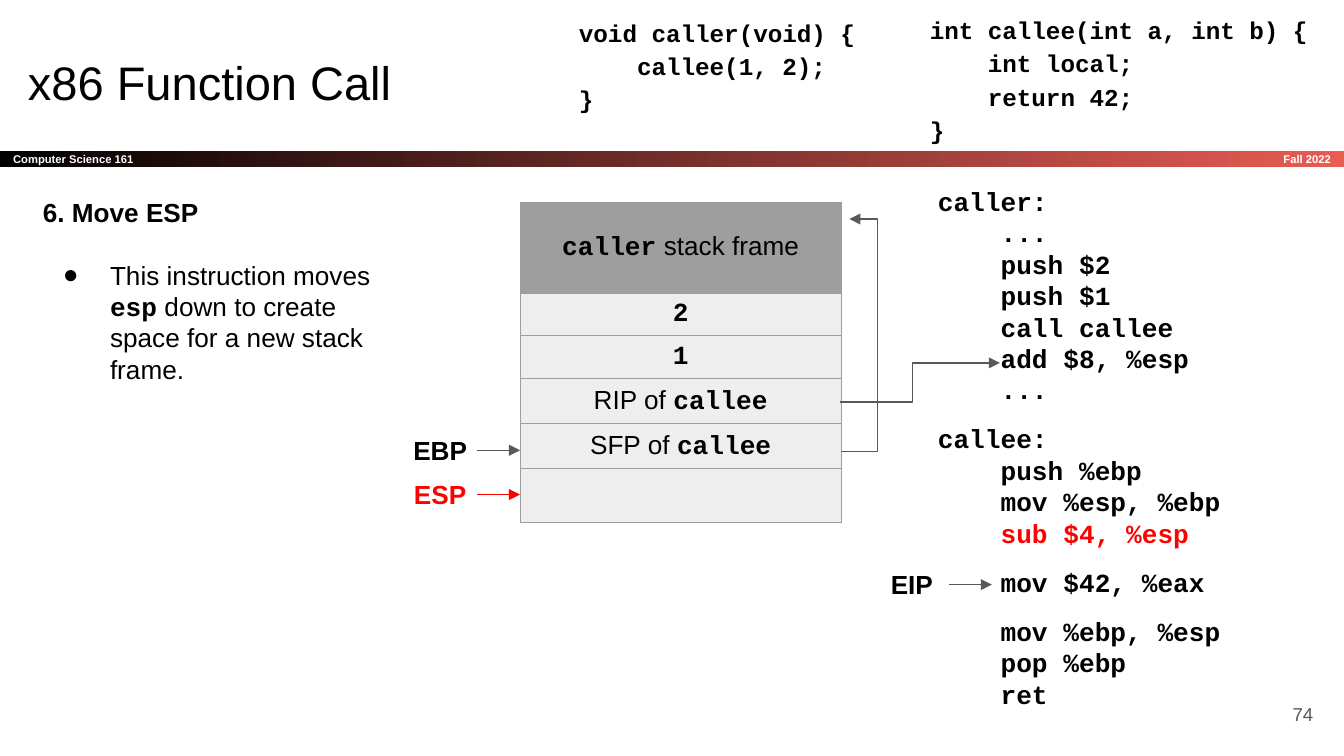
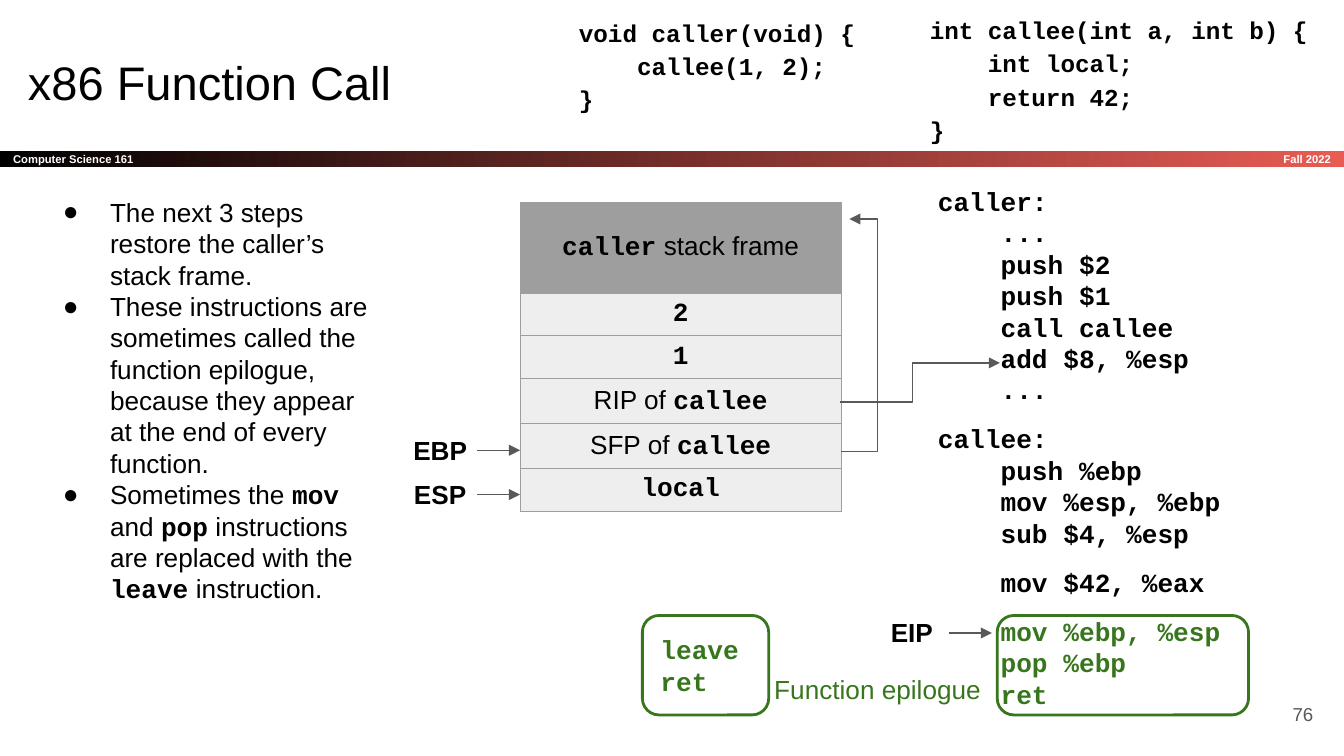
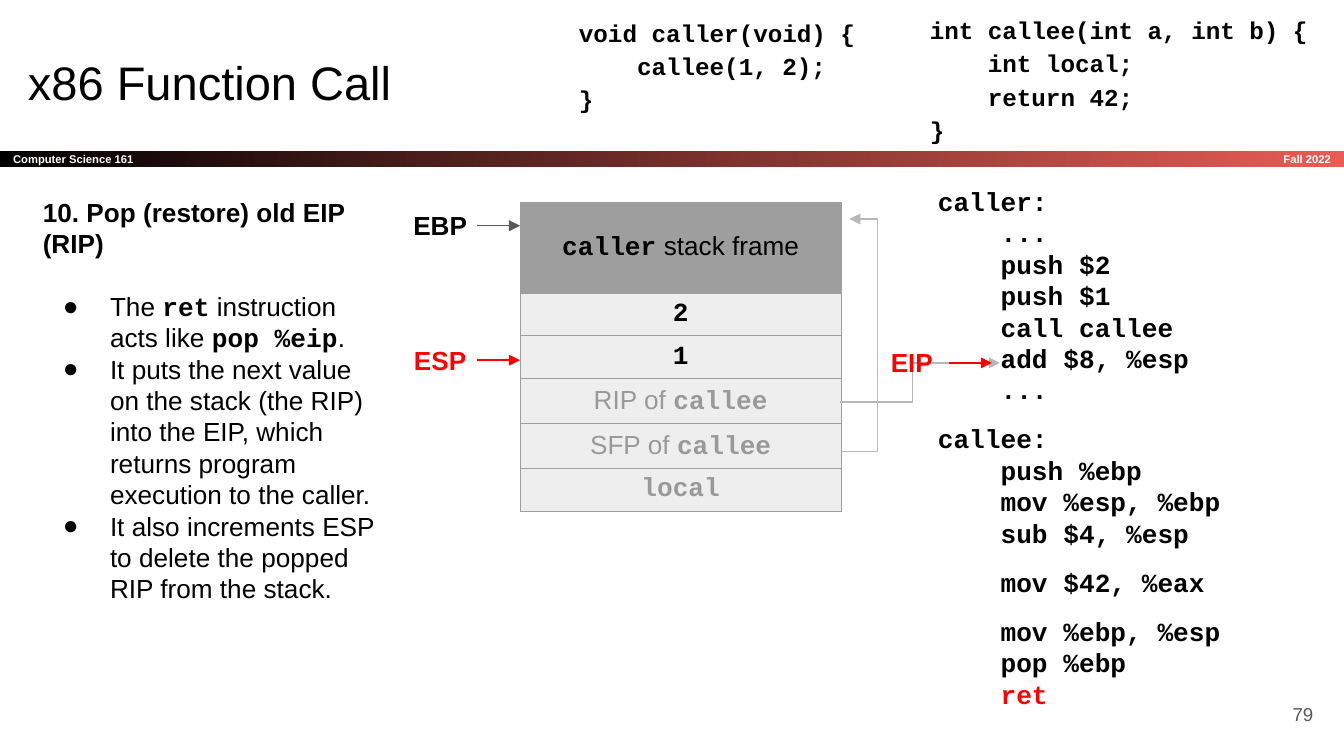
"""Builds three slides that walk through the stack during an x86 function call."""
from dataclasses import dataclass, field
from typing import NamedTuple

from lxml.etree import SubElement
from pptx import Presentation
from pptx.dml.color import RGBColor
from pptx.enum.shapes import MSO_CONNECTOR, MSO_SHAPE
from pptx.enum.text import MSO_ANCHOR, PP_ALIGN
from pptx.oxml.ns import qn
from pptx.util import Pt

PX = 9144
SANS, MONO = "Arial", "Courier New"
BLACK, WHITE, RED, GREEN = "000000", "FFFFFF", "FF0000", "38761D"
CORAL, GRAY, PALE, FADED = "E85C54", "595959", "B7B7B7", "999999"
FRAME, CELL = "9E9E9E", "EEEEEE"
LEFT, CENTER, RIGHT = PP_ALIGN.LEFT, PP_ALIGN.CENTER, PP_ALIGN.RIGHT
TOP, MIDDLE = MSO_ANCHOR.TOP, MSO_ANCHOR.MIDDLE
BODY = 14
LEADING, CODE_LEADING = 1.2, 1.38

CALLER_SOURCE = ["void caller(void) {", "    callee(1, 2);", "}"]
CALLEE_SOURCE = ["int callee(int a, int b) {", "    int local;", "    return 42;", "}"]
ASSEMBLY = [
    ["caller:", "    ...", "    push $2", "    push $1", "    call callee",
     "    add $8, %esp", "    ..."],
    ["callee:", "    push %ebp", "    mov %esp, %ebp", "    sub $4, %esp"],
    ["    mov $42, %eax"],
    ["    mov %ebp, %esp", "    pop %ebp", "    ret"],
]


class Span(NamedTuple):
    """A run of text in one face and colour."""
    text: str
    font: str = SANS
    bold: bool = False
    color: str = BLACK


class Para(NamedTuple):
    """A paragraph made of spans, each on its own line if broken."""
    spans: list[Span]
    bullet: bool = False
    before: float = 0
    broken: bool = False


class Area(NamedTuple):
    """A rectangle in px."""
    left: int
    top: int
    width: int
    height: int


class Style(NamedTuple):
    """How the text of a box is set."""
    size: float = BODY
    align: PP_ALIGN = LEFT
    anchor: MSO_ANCHOR = TOP
    inset: tuple[int, int] = (10, 10)
    leading: float = LEADING


class StackRow(NamedTuple):
    """A stack cell, with exact line spacing in points if given."""
    height: int
    spans: list[Span]
    spacing: float = 0


class Pointer(NamedTuple):
    """A register label with an arrow to its right."""
    name: str
    left: int
    top: int
    color: str = BLACK


@dataclass
class Step:
    """What one slide shows."""
    number: int
    notes: list[Para]
    pointers: list[Pointer]
    marked: dict[str, str] = field(default_factory=dict)
    local: str = "local"
    popped_color: str = BLACK
    wire_color: str = GRAY
    epilogue: bool = False


def mono(text: str, color: str = BLACK) -> Span:
    """Return a bold code span."""
    return Span(text, MONO, True, color)


def bullet(*spans: Span) -> Para:
    """Return a bulleted paragraph."""
    return Para(list(spans), True)


def with_heading(heading: str, *notes: Para) -> list[Para]:
    """Put a bold heading over notes, one line apart."""
    first = notes[0]._replace(before=BODY * LEADING)
    return [Para([Span(heading, bold=True)]), first, *notes[1:]]


def rgb(color: str) -> RGBColor:
    """Turn a hex string into a colour."""
    return RGBColor.from_string(color)


def scaled(area: Area) -> list[int]:
    """Turn px into EMU."""
    return [value * PX for value in area]


def add_spans(para, spans: list[Span], size: float, broken: bool = False) -> None:
    """Add spans to a paragraph run by run."""
    for index, span in enumerate(spans):
        if broken and index:
            para.add_line_break()
        run = para.add_run()
        run.text = span.text
        run.font.name = span.font
        run.font.size = Pt(size)
        run.font.bold = span.bold
        run.font.color.rgb = rgb(span.color)


def add_bullet(para) -> None:
    """Give a paragraph a hanging round bullet."""
    props = para._p.get_or_add_pPr()
    props.set("marL", str(50 * PX))
    props.set("indent", str(-35 * PX))
    tint = SubElement(props, qn("a:buClr"))
    SubElement(tint, qn("a:srgbClr"), val=BLACK)
    SubElement(props, qn("a:buFont"), typeface=SANS)
    SubElement(props, qn("a:buChar"), char="●")


def fill_text(shape, paras: list[Para], style: Style) -> None:
    """Set the text of a shape."""
    frame = shape.text_frame
    frame.word_wrap = True
    frame.vertical_anchor = style.anchor
    across, down = (value * PX for value in style.inset)
    frame.margin_left = frame.margin_right = across
    frame.margin_top = frame.margin_bottom = down
    for index, item in enumerate(paras):
        para = frame.add_paragraph() if index else frame.paragraphs[0]
        para.alignment = style.align
        para.line_spacing = Pt(style.size * style.leading)
        if item.before:
            para.space_before = Pt(item.before)
        if item.bullet:
            add_bullet(para)
        add_spans(para, item.spans, style.size, item.broken)


def add_text(page, area: Area, paras: list[Para], style: Style = Style()):
    """Add a text box."""
    box = page.shapes.add_textbox(*scaled(area))
    fill_text(box, paras, style)
    return box


def set_line(shape, color: str, width: float, arrow: bool = False) -> None:
    """Set a line, with an arrowhead at its end if asked."""
    shape.line.color.rgb = rgb(color)
    shape.line.width = Pt(width)
    if arrow:
        SubElement(shape.line._get_or_add_ln(), qn("a:tailEnd"), type="triangle")


def add_wire(page, points: list[tuple[int, int]], color: str) -> None:
    """Add a bent arrow through points."""
    builder = page.shapes.build_freeform(*points[0], scale=PX)
    builder.add_line_segments(points[1:], close=False)
    wire = builder.convert_to_shape()
    wire.shadow.inherit = False
    wire.fill.background()
    set_line(wire, color, 0.75, True)


def add_pointer(page, pointer: Pointer) -> None:
    """Add a register label and its arrow."""
    area = Area(pointer.left, pointer.top, 55, 34)
    label = add_text(page, area, [Para([Span(pointer.name, bold=True, color=pointer.color)])],
                     Style(align=CENTER, inset=(5, 5)))
    start, level = area.left + area.width, area.top + area.height // 2
    arrow = page.shapes.add_connector(MSO_CONNECTOR.STRAIGHT, start * PX, level * PX,
                                      (start + 32) * PX, level * PX)
    arrow.begin_connect(label, 3)
    set_line(arrow, GRAY if pointer.color == BLACK else pointer.color, 0.75, True)
    SubElement(arrow._element.spPr, qn("a:effectLst"))


def add_header(page, number: int) -> None:
    """Add the title, gradient band, C source and page number."""
    band = page.shapes.add_shape(MSO_SHAPE.RECTANGLE, *scaled(Area(0, 112, 1000, 12)))
    band.shadow.inherit = False
    band.line.fill.background()
    band.fill.gradient()
    band.fill.gradient_angle = 0
    for stop, position, color in zip(band.fill.gradient_stops, (0, 1), (BLACK, CORAL)):
        stop.position = position
        stop.color.rgb = rgb(color)
    small = Style(6, anchor=MIDDLE, inset=(10, 0))
    fill_text(band, [Para([Span("Computer Science 161", bold=True, color=WHITE)])], small)
    add_text(page, Area(834, 112, 166, 12),
             [Para([Span("Fall 2022", bold=True, color=WHITE)])], small._replace(align=RIGHT))
    add_text(page, Area(11, 30, 932, 63), [Para([Span("x86 Function Call")])], Style(25.2))
    add_text(page, Area(927, 510, 60, 43), [Para([Span(str(number), color=GRAY)])],
             Style(10, RIGHT, MIDDLE))
    source_style = Style(13, leading=CODE_LEADING)
    for area, lines in ((Area(421, 0, 250, 94), CALLER_SOURCE),
                        (Area(682, -2, 305, 118), CALLEE_SOURCE)):
        source = Para([mono(line) for line in lines], broken=True)
        add_text(page, area, [source], source_style)


def add_assembly(page, marked: dict[str, str]) -> None:
    """Add the assembly listing with some lines coloured."""
    paras = []
    for block_index, block in enumerate(ASSEMBLY):
        for line_index, line in enumerate(block):
            before = 9.5 if block_index and not line_index else 0
            color = marked.get(line.strip(), BLACK)
            paras.append(Para([mono(line, color)], before=before))
    add_text(page, Area(688, 128, 283, 425), paras)


def set_borders(cell) -> None:
    """Draw a thin frame around a cell."""
    props = cell._tc.get_or_add_tcPr()
    for side in ("a:lnL", "a:lnR", "a:lnT", "a:lnB"):
        line = SubElement(props, qn(side), w=str(Pt(0.75)))
        paint = SubElement(line, qn("a:solidFill"))
        SubElement(paint, qn("a:srgbClr"), val=FRAME)


def add_stack(page, step: Step) -> None:
    """Add the stack table and the wires of its saved pointers."""
    popped = step.popped_color
    local = (StackRow(32, [mono(step.local, popped)], 15.8) if step.local
             else StackRow(38, [], 20))
    rows = [
        StackRow(67, [mono("caller"), Span(" stack frame")]),
        StackRow(32, [mono("2")], 15.8),
        StackRow(32, [mono("1")], 15.8),
        StackRow(33, [Span("RIP of ", color=popped), mono("callee", popped)]),
        StackRow(33, [Span("SFP of ", color=popped), mono("callee", popped)]),
        local,
    ]
    height = sum(row.height for row in rows)
    graphic = page.shapes.add_table(len(rows), 1, *scaled(Area(387, 151, 239, height)))
    table = graphic.table
    for index, row in enumerate(rows):
        table.rows[index].height = row.height * PX
        cell = table.cell(index, 0)
        cell.margin_left = cell.margin_right = 5 * PX
        cell.margin_top = cell.margin_bottom = 5 * PX
        cell.vertical_anchor = TOP if index else MIDDLE
        set_borders(cell)
        cell.fill.solid()
        cell.fill.fore_color.rgb = rgb(CELL if index else FRAME)
        para = cell.text_frame.paragraphs[0]
        para.alignment = CENTER
        if row.spacing:
            para.line_spacing = Pt(row.spacing)
        add_spans(para, row.spans, BODY)
    add_wire(page, [(626, 336), (653, 336), (653, 163), (632, 163)], step.wire_color)
    add_wire(page, [(625, 299), (679, 299), (679, 270), (744, 270)], step.wire_color)


def add_frame(page, area: Area):
    """Add a green rounded outline."""
    outline = page.shapes.add_shape(MSO_SHAPE.ROUNDED_RECTANGLE, *scaled(area))
    outline.shadow.inherit = False
    outline.fill.background()
    set_line(outline, GREEN, 1.5)
    return outline


def add_epilogue(page) -> None:
    """Frame the epilogue and show its short form."""
    add_frame(page, Area(742, 458, 187, 74))
    add_text(page, Area(564, 491, 178, 44), [Para([Span("Function epilogue", color=GREEN)])],
             Style(align=CENTER))
    short_form = add_frame(page, Area(478, 458, 94, 74))
    fill_text(short_form, [Para([mono(word, GREEN)]) for word in ("leave", "ret")],
              Style(anchor=MIDDLE))


STEPS = [
    Step(
        74,
        with_heading("6. Move ESP", bullet(
            Span("This instruction moves "), mono("esp"),
            Span(" down to create space for a new stack frame."))),
        [Pointer("EBP", 300, 318), Pointer("ESP", 300, 351, RED), Pointer("EIP", 651, 418)],
        {"sub $4, %esp": RED},
        local="",
    ),
    Step(
        76,
        [bullet(Span("The next 3 steps restore the caller’s stack frame.")),
         bullet(Span("These instructions are sometimes called the function epilogue, "
                     "because they appear at the end of every function.")),
         bullet(Span("Sometimes the "), mono("mov"), Span(" and "), mono("pop"),
                Span(" instructions are replaced with the "), mono("leave"),
                Span(" instruction."))],
        [Pointer("EBP", 300, 318), Pointer("ESP", 300, 351), Pointer("EIP", 651, 454)],
        {line.strip(): GREEN for line in ASSEMBLY[-1]},
        epilogue=True,
    ),
    Step(
        79,
        with_heading(
            "10. Pop (restore) old EIP (RIP)",
            bullet(Span("The "), mono("ret"), Span(" instruction acts like "),
                   mono("pop %eip"), Span(".")),
            bullet(Span("It puts the next value on the stack (the RIP) into the EIP, "
                        "which returns program execution to the caller.")),
            bullet(Span("It also increments ESP to delete the popped RIP from the stack."))),
        [Pointer("EBP", 300, 151), Pointer("ESP", 300, 251, RED), Pointer("EIP", 651, 253, RED)],
        {"ret": RED},
        popped_color=FADED,
        wire_color=PALE,
    ),
]


def add_step(deck, step: Step) -> None:
    """Add the slide of one step."""
    page = deck.slides.add_slide(deck.slide_layouts[6])
    add_header(page, step.number)
    add_stack(page, step)
    add_assembly(page, step.marked)
    if step.epilogue:
        add_epilogue(page)
    add_text(page, Area(22, 136, 268, 412), step.notes)
    for pointer in step.pointers:
        add_pointer(page, pointer)


def main() -> None:
    """Build and save the deck."""
    deck = Presentation()
    deck.slide_width = 1000 * PX
    deck.slide_height = deck.slide_width * 9 // 16
    for step in STEPS:
        add_step(deck, step)
    deck.save("out.pptx")


if __name__ == "__main__":
    main()
